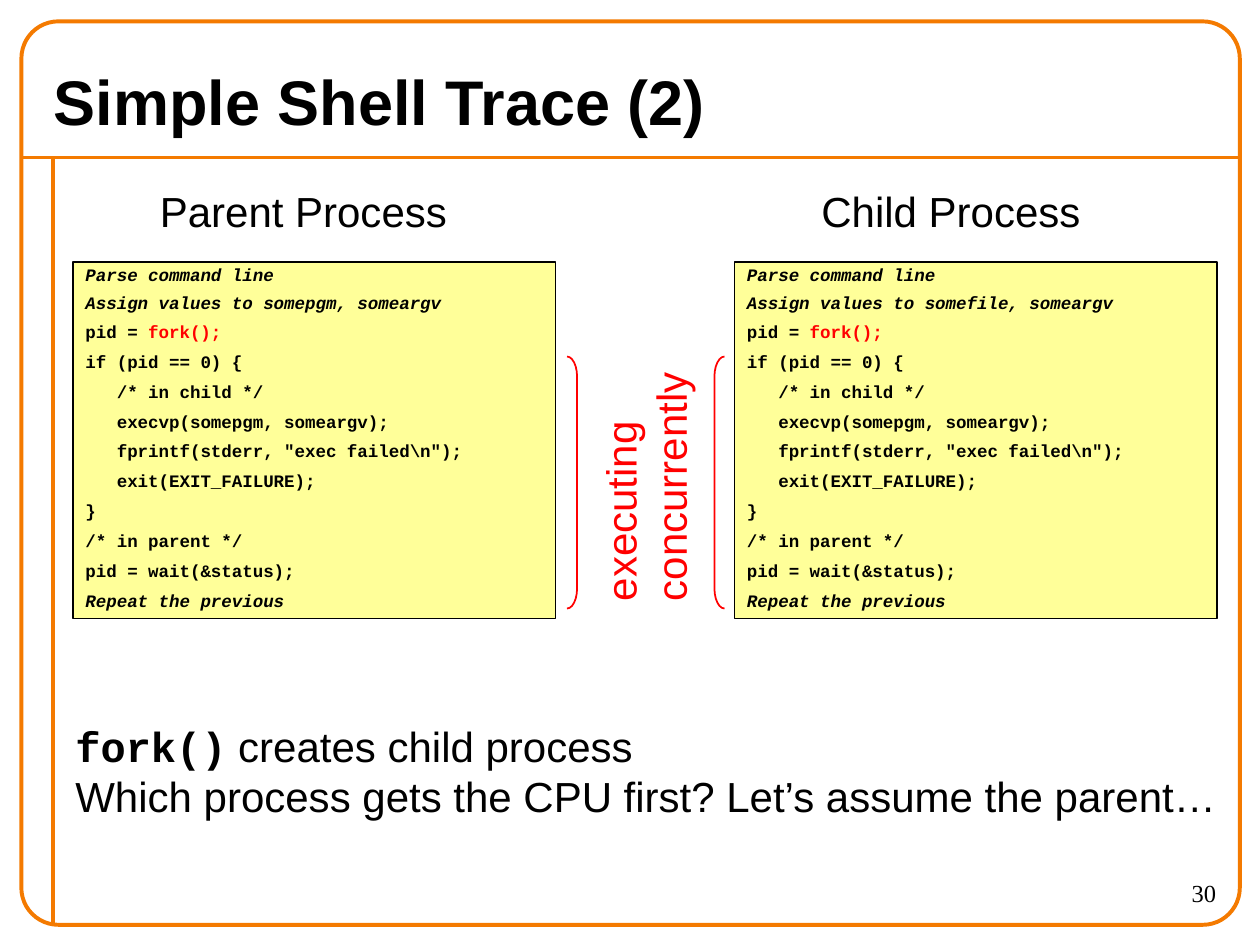
from dataclasses import dataclass

from pptx import Presentation
from pptx.dml.color import RGBColor
from pptx.enum.shapes import MSO_CONNECTOR, MSO_SHAPE
from pptx.enum.text import MSO_ANCHOR, PP_ALIGN
from pptx.oxml.ns import qn
from pptx.util import Inches, Pt


@dataclass(frozen=True)
class Theme:
    sans: str = "Arial"
    mono: str = "Courier New"
    serif: str = "Times New Roman"
    ink: str = "000000"
    accent: str = "FF0000"
    frame: str = "F47A00"
    panel: str = "FFFF99"
    title_size: int = 36
    body_size: int = 24
    code_size: int = 10
    number_size: int = 14


THEME = Theme()

TITLE = "Simple Shell Trace (2)"
PAGE_NUMBER = "30"
CONCURRENCY = ["executing", "concurrently"]
# Heading, heading left, panel left, program variable named in the second line
PROCESSES = [
    ("Parent Process", 1.17, 0.58, "somepgm"),
    ("Child Process", 6.42, 5.83, "somefile"),
]
STATEMENTS = [
    "if (pid == 0) {",
    "   /* in child */",
    "   execvp(somepgm, someargv);",
    '   fprintf(stderr, "exec failed\\n");',
    "   exit(EXIT_FAILURE);",
    "}",
    "/* in parent */",
    "pid = wait(&status);",
]
BRACKETS = [(MSO_SHAPE.RIGHT_BRACKET, 4.5), (MSO_SHAPE.LEFT_BRACKET, 5.67)]


def add_run(paragraph, text, size, face=THEME.sans, color=THEME.ink, bold=False, italic=False):
    run = paragraph.add_run()
    run.text = text
    font = run.font
    font.name, font.size = face, Pt(size)
    font.bold, font.italic = bold, italic
    font.color.rgb = RGBColor.from_string(color)


def add_paragraphs(frame, count):
    return [frame.paragraphs[0]] + [frame.add_paragraph() for _ in range(count - 1)]


def add_text_frame(slide, left, top, width, height, wrap=True):
    frame = slide.shapes.add_textbox(*map(Inches, (left, top, width, height))).text_frame
    frame.word_wrap = wrap
    return frame


def add_outline(slide, preset, box, color, weight, fill=None):
    shape = slide.shapes.add_shape(preset, *map(Inches, box))
    shape.shadow.inherit = False
    shape.line.color.rgb = RGBColor.from_string(color)
    shape.line.width = Pt(weight)
    if fill:
        shape.fill.solid()
        shape.fill.fore_color.rgb = RGBColor.from_string(fill)
    else:
        shape.fill.background()
    return shape


def add_rule(slide, *ends):
    rule = slide.shapes.add_connector(MSO_CONNECTOR.STRAIGHT, *map(Inches, ends))
    rule.line.color.rgb = RGBColor.from_string(THEME.frame)
    rule.line.width = Pt(2.25)
    properties = rule._element.spPr
    properties.append(properties.makeelement(qn("a:effectLst"), {}))


def add_code_panel(slide, left, program):
    panel = add_outline(slide, MSO_SHAPE.RECTANGLE, (left, 2.08, 3.83, 2.83),
                        THEME.ink, 0.75, THEME.panel)
    frame = panel.text_frame
    frame.word_wrap = True
    frame.vertical_anchor = MSO_ANCHOR.TOP
    plain, italic, red = {}, {"italic": True}, {"color": THEME.accent}
    lines = [
        [("Parse command line", italic)],
        [(f"Assign values to {program}, someargv", italic)],
        [("pid =", plain), (" fork();", red)],
        *[[(statement, plain)] for statement in STATEMENTS],
        [("Repeat the previous", italic)],
    ]
    for i, (paragraph, runs) in enumerate(zip(add_paragraphs(frame, len(lines)), lines)):
        paragraph.alignment = PP_ALIGN.LEFT
        paragraph.line_spacing = 0.8 if i < 2 else 0.9
        if i:
            paragraph.space_before = Pt(6.2)
        for text, style in runs:
            add_run(paragraph, text, THEME.code_size, THEME.mono, bold=True, **style)


def main():
    deck = Presentation()
    deck.slide_width, deck.slide_height = Inches(10), Inches(7.5)
    slide = deck.slides.add_slide(deck.slide_layouts[6])

    add_rule(slide, 0.17, 1.25, 9.83, 1.25)
    add_rule(slide, 0.42, 1.25, 0.42, 7.33)
    border = add_outline(slide, MSO_SHAPE.ROUNDED_RECTANGLE, (0.17, 0.17, 9.67, 7.17),
                         THEME.frame, 2.25)
    border.adjustments[0] = 0.041

    number = add_text_frame(slide, 8.75, 6.92, 1, 0.42).paragraphs[0]
    number.alignment = PP_ALIGN.RIGHT
    add_run(number, PAGE_NUMBER, THEME.number_size, THEME.serif)

    title = add_text_frame(slide, 0.33, 0.42, 9.33, 0.75)
    title.vertical_anchor = MSO_ANCHOR.MIDDLE
    add_run(title.paragraphs[0], TITLE, THEME.title_size, bold=True)

    for heading, heading_left, panel_left, program in PROCESSES:
        add_code_panel(slide, panel_left, program)
        frame = add_text_frame(slide, heading_left, 1.42, 2.48, 0.5, wrap=False)
        add_run(frame.paragraphs[0], heading, THEME.body_size)

    for preset, left in BRACKETS:
        bracket = add_outline(slide, preset, (left, 2.83, 0.08, 2), THEME.accent, 1)
        bracket.adjustments[0] = 2  # corner height, in bracket widths

    concurrency = slide.shapes.add_textbox(*map(Inches, (4.1, 3.4, 2.04, 0.9)))
    concurrency.rotation = 270
    concurrency.text_frame.word_wrap = True
    paragraphs = add_paragraphs(concurrency.text_frame, len(CONCURRENCY))
    for paragraph, word in zip(paragraphs, CONCURRENCY):
        add_run(paragraph, word, THEME.body_size, color=THEME.accent)

    summary = add_text_frame(slide, 0.5, 5.67, 9.26, 0.9, wrap=False)
    creation, question = add_paragraphs(summary, 2)
    add_run(creation, "fork()", THEME.body_size, THEME.mono, bold=True)
    add_run(creation, " creates child process", THEME.body_size)
    add_run(question, "Which process gets the CPU first? Let’s assume the parent…", THEME.body_size)

    deck.save("out.pptx")


if __name__ == "__main__":
    main()
